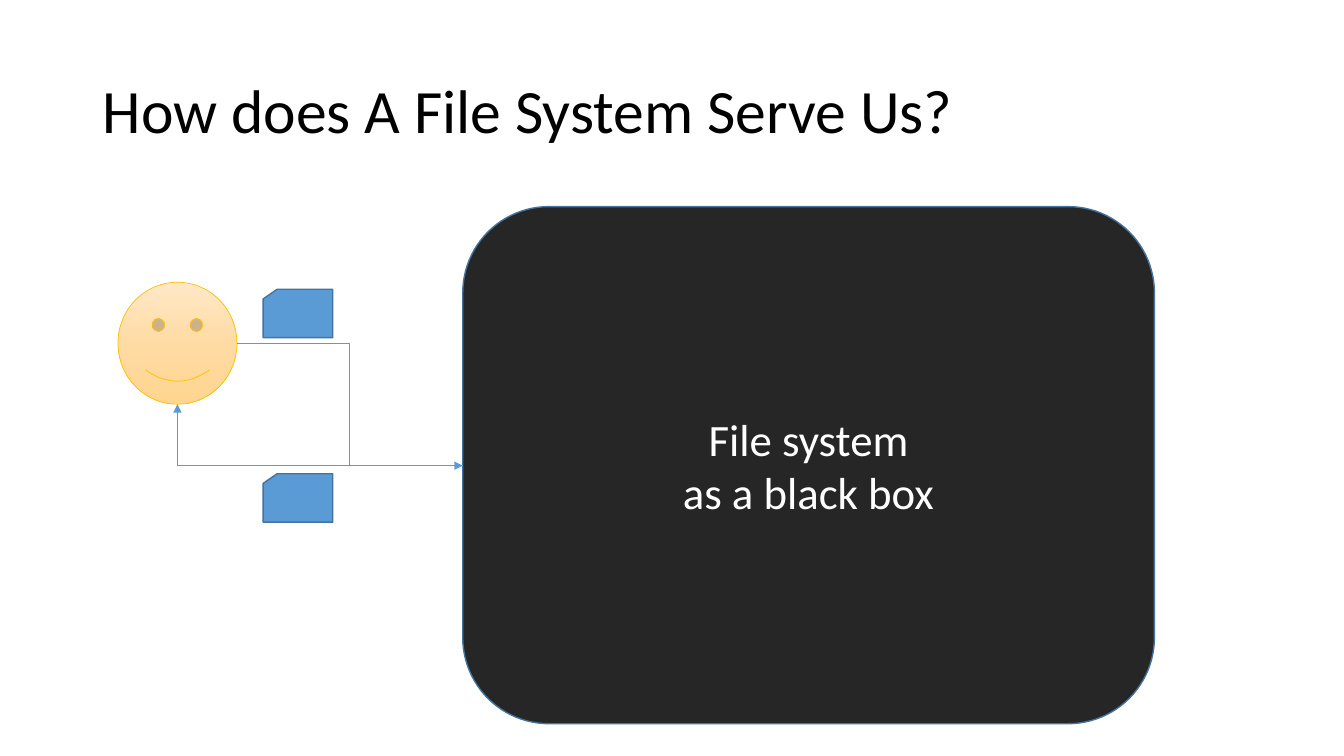
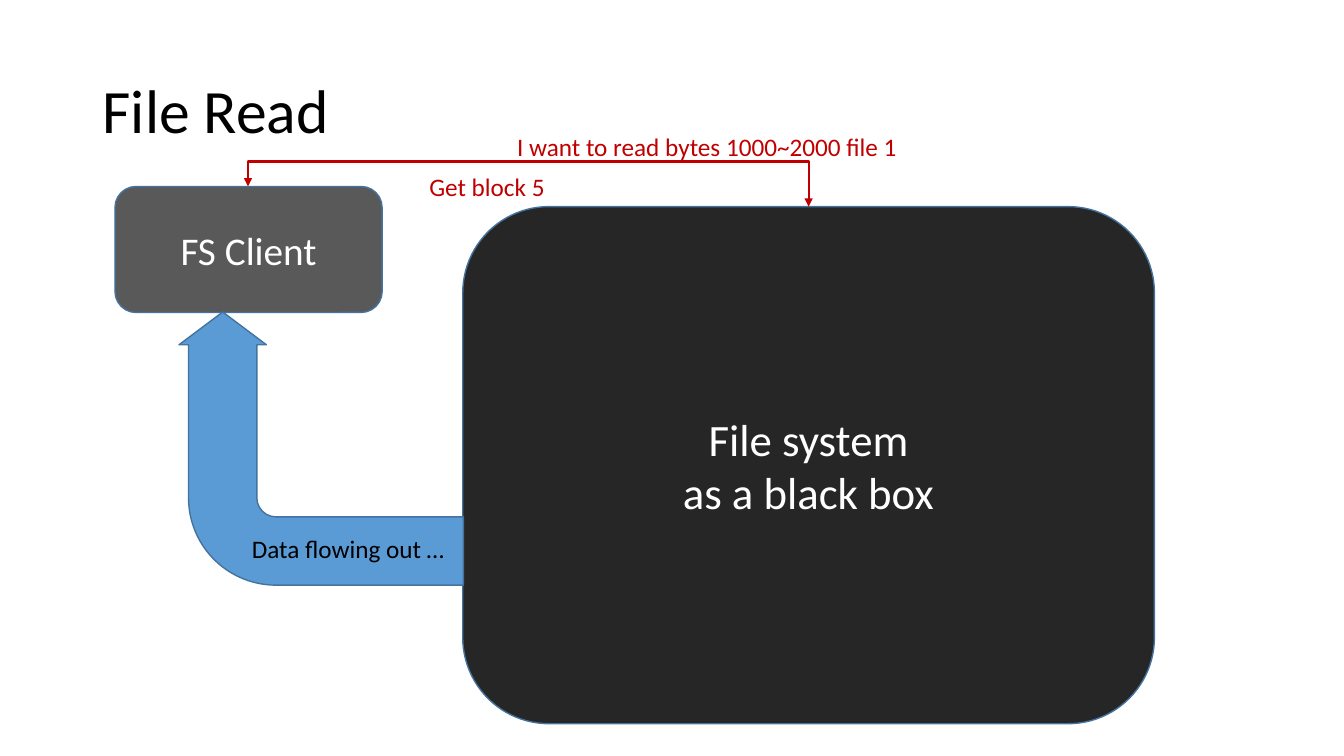
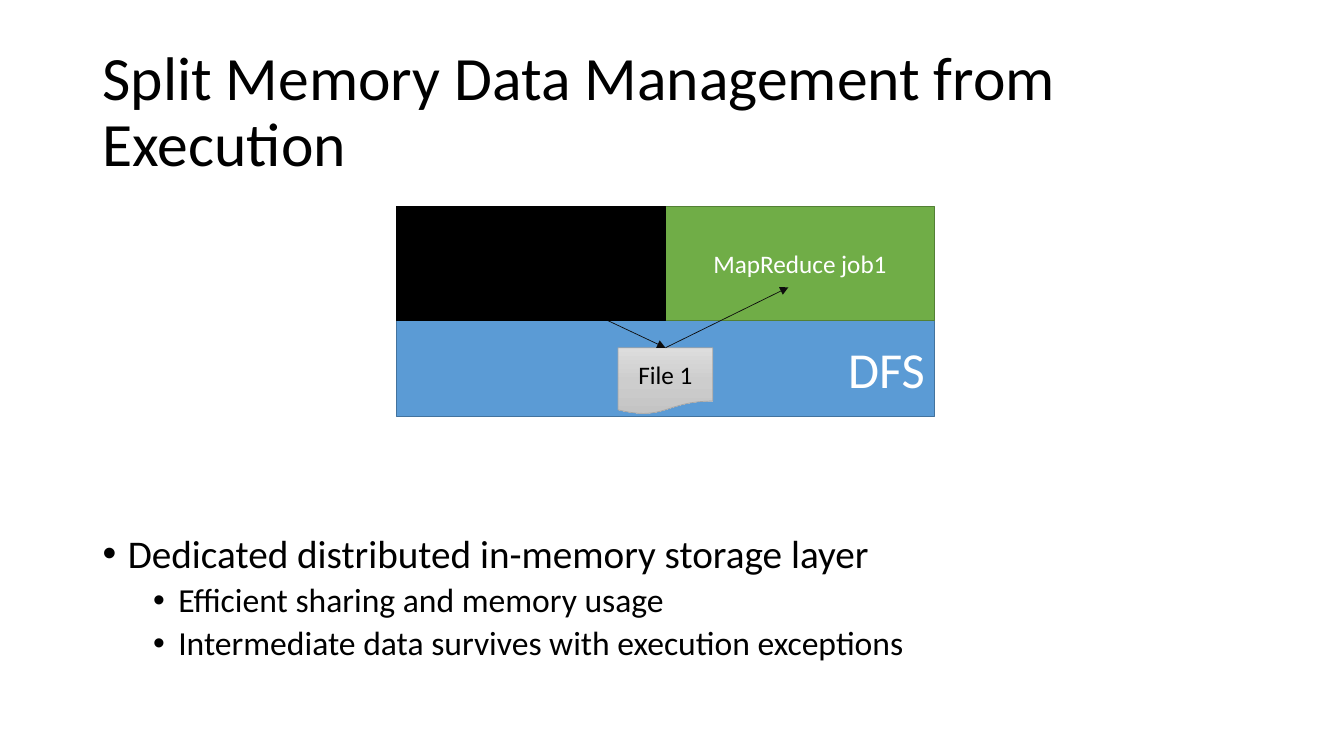
import copy

import pptx
import pptx.dml.color
import pptx.enum.shapes
import pptx.enum.text
import pptx.oxml
import pptx.oxml.ns
import pptx.util

Inches, Pt = pptx.util.Inches, pptx.util.Pt
SHAPES = pptx.enum.shapes.MSO_SHAPE
CONNECTORS = pptx.enum.shapes.MSO_CONNECTOR
ALIGN = pptx.enum.text.PP_ALIGN
ANCHOR = pptx.enum.text.MSO_ANCHOR

FONT = "Calibri"
WHITE, BLACK, RED = "FFFFFF", "000000", "C00000"
BLUE, BLUE_EDGE = "5B9BD5", "43739E"
GREEN, GREEN_EDGE = "70AD47", "538035"
DARK, GRAY, INK = "262626", "595959", "0D0D0D"
PEACH, PEACH_EDGE = ("FFE8C7", "FFDBA4", "FFD58F"), "FFC000"
SILVER, SILVER_EDGE = ("DDDDDD", "CDCDCD", "C4C4C4"), "A5A5A5"

TITLES = ("How does A File System Serve Us?", "File Read",
          "Split Memory Data Management from Execution")
TITLE_FRAME = (0.92, 0.4, 11.5, 1.45)
BLACK_BOX = "File system\nas a black box"
BLACK_BOX_FRAME = (4.59, 2.05, 6.86, 5.13)

CARD_TOPS = (2.87, 4.7)

READ_LABELS = (("I want to read bytes 1000~2000 file 1", (5.03, 1.25, 4.01, 0.4), RED),
               ("Get block 5", (4.16, 1.65, 1.36, 0.4), RED))
FLOW_LABEL = ("Data flowing out …", (2.4, 5.24, 2.13, 0.4), BLACK)

BULLETS = ((0, "Dedicated distributed in-memory storage layer"),
           (1, "Efficient sharing and memory usage"),
           (1, "Intermediate data survives with execution exceptions"))
BULLET_LEVELS = ({"size": 28, "indent": 0.25, "before": 10},
                 {"size": 24, "indent": 0.75, "before": 5})
STACK_LEFT, STACK_TOP, STACK_WIDTH = 3.93, 2.05, 5.34
JOB_WIDTH, JOB_HEIGHT, STORE_HEIGHT = STACK_WIDTH / 2, 1.13, 0.95


def rgb(color):
    return pptx.dml.color.RGBColor.from_string(color)


def inches(values):
    return [Inches(value) for value in values]


def write(frame, text, size=18, color=BLACK, align=ALIGN.LEFT, anchor=ANCHOR.TOP,
          spacing=None, wrap=True):
    """Fill a text frame, one paragraph for each line of the text."""
    frame.word_wrap = wrap
    frame.vertical_anchor = anchor
    frame.text = text
    for paragraph in frame.paragraphs:
        paragraph.alignment = align
        paragraph.line_spacing = spacing
        for run in paragraph.runs:
            run.font.name = FONT
            run.font.size = Pt(size)
            run.font.color.rgb = rgb(color)
    return frame


def add_text(slide, text, place, **text_format):
    return write(slide.shapes.add_textbox(*inches(place)).text_frame, text, **text_format)


def add_label(slide, text, place, color):
    frame = add_text(slide, text, place, color=color, wrap=False)
    frame.auto_size = pptx.enum.text.MSO_AUTO_SIZE.SHAPE_TO_FIT_TEXT


def fill_gradient(fill, colors):
    """Run evenly spaced colours from top to bottom."""
    fill.gradient()
    fill.gradient_angle = 270
    first = fill.gradient_stops[0]._gs
    for _ in colors[2:]:
        first.addnext(copy.deepcopy(first))
    for index, (stop, color) in enumerate(zip(fill.gradient_stops, colors)):
        stop.color.rgb = rgb(color)
        stop.position = index / (len(colors) - 1)


def add_shape(slide, kind, place, fill=BLUE, edge=BLUE_EDGE, edge_width=1, text="",
              color=WHITE, align=ALIGN.CENTER, **text_format):
    shape = slide.shapes.add_shape(kind, *inches(place))
    shape.shadow.inherit = False
    if isinstance(fill, tuple):
        fill_gradient(shape.fill, fill)
    else:
        shape.fill.solid()
        shape.fill.fore_color.rgb = rgb(fill)
    shape.line.color.rgb = rgb(edge)
    shape.line.width = Pt(edge_width)
    if text:
        write(shape.text_frame, text, color=color, align=align,
              anchor=ANCHOR.MIDDLE, **text_format)
    return shape


def add_arrow(slide, kind, begin, end, color, width=0.5, heads=("tailEnd",)):
    connector = slide.shapes.add_connector(kind, *inches(begin + end))
    connector.line.color.rgb = rgb(color)
    connector.line.width = Pt(width)
    line = connector.line._get_or_add_ln()
    for head in heads:
        line.append(pptx.oxml.parse_xml(
            f'<a:{head} {pptx.oxml.ns.nsdecls("a")} type="triangle"/>'))
    connector._element.spPr.append(pptx.oxml.parse_xml(
        f'<a:effectLst {pptx.oxml.ns.nsdecls("a")}/>'))
    return connector


def add_bent_arrow(slide, begin, end, place, color, preset="bentConnector3",
                   rotation=0, flip=False, bend=None, **line_format):
    """Join two (shape, site) pairs by an elbow line in the given unrotated frame."""
    connector = add_arrow(slide, CONNECTORS.ELBOW, (0, 0), (1, 1), color, **line_format)
    connector.begin_connect(begin[0], 0)
    connector.end_connect(end[0], 0)
    element = connector._element
    for tag, (_, site) in (("stCxn", begin), ("endCxn", end)):
        element.xpath(f".//a:{tag}")[0].set("idx", str(site))
    connector.left, connector.top, connector.width, connector.height = inches(place)
    transform = element.xpath("./p:spPr/a:xfrm")[0]
    transform.set("rot", str(rotation * 60000))
    transform.set("flipH", str(int(flip)))
    transform.set("flipV", "0")
    geometry = element.xpath("./p:spPr/a:prstGeom")[0]
    geometry.set("prst", preset)
    if bend is not None:
        geometry.get_or_add_avLst().append(pptx.oxml.parse_xml(
            f'<a:gd {pptx.oxml.ns.nsdecls("a")} name="adj1" '
            f'fmla="val {round(bend * 100000)}"/>'))


def add_bullets(slide, place):
    frame = add_text(slide, "\n".join(text for _, text in BULLETS), place, spacing=0.9)
    for paragraph, (level, _) in zip(frame.paragraphs, BULLETS):
        style = BULLET_LEVELS[level]
        paragraph.level = level
        paragraph.space_before = Pt(style["before"])
        paragraph.runs[0].font.size = Pt(style["size"])
        properties = paragraph._p.get_or_add_pPr()
        properties.set("marL", str(Inches(style["indent"])))
        properties.set("indent", str(-Inches(0.25)))
        for tag in ('buFont typeface="Arial"', 'buChar char="•"'):
            properties.append(pptx.oxml.parse_xml(
                f'<a:{tag} {pptx.oxml.ns.nsdecls("a")}/>'))


def add_black_box(slide):
    return add_shape(slide, SHAPES.ROUNDED_RECTANGLE, BLACK_BOX_FRAME, fill=DARK,
                     text=BLACK_BOX, size=32)


def build_service(slide):
    box = add_black_box(slide)
    user = add_shape(slide, SHAPES.SMILEY_FACE, (1.17, 2.8, 1.18, 1.21),
                     fill=PEACH, edge=PEACH_EDGE, edge_width=0.5)
    user_bottom, user_right, box_left = (user, 4), (user, 6), (box, 1)
    add_bent_arrow(slide, user_right, box_left, (2.35, 3.41, 2.24, 1.21), BLUE)
    add_bent_arrow(slide, box_left, user_bottom, (1.76, 4.01, 2.83, 0.61), BLUE,
                   preset="bentConnector2", rotation=180)
    for top in CARD_TOPS:
        add_shape(slide, SHAPES.FLOWCHART_CARD, (2.61, top, 0.69, 0.48))


def build_read(slide):
    box = add_black_box(slide)
    client = add_shape(slide, SHAPES.ROUNDED_RECTANGLE, (1.14, 1.85, 2.65, 1.25),
                       fill=GRAY, text="FS Client", size=28)
    add_bent_arrow(slide, (client, 0), (box, 0), (5.14, -0.83, 0.2, 5.56), RED,
                   rotation=270, flip=True, bend=-1.24, width=1.5,
                   heads=("headEnd", "tailEnd"))
    for label in READ_LABELS:
        add_label(slide, *label)
    flow = add_shape(slide, SHAPES.BENT_ARROW, (1.83, 3.04, 2.71, 2.82))
    flow.rotation = 270
    for index, value in enumerate((0.25, 0.16, 0.12, 0.32)):
        flow.adjustments[index] = value
    add_label(slide, *FLOW_LABEL)


def build_split(slide):
    add_bullets(slide, (0.92, 5.25, 11.5, 1.5))
    store_top = STACK_TOP + JOB_HEIGHT
    add_shape(slide, SHAPES.RECTANGLE, (STACK_LEFT, store_top, STACK_WIDTH, STORE_HEIGHT),
              text="DFS", size=36, align=ALIGN.RIGHT)
    add_shape(slide, SHAPES.RECTANGLE,
              (STACK_LEFT + JOB_WIDTH, STACK_TOP, JOB_WIDTH, JOB_HEIGHT),
              fill=GREEN, edge=GREEN_EDGE, text="MapReduce job1")
    document = add_shape(slide, SHAPES.FLOWCHART_DOCUMENT, (6.13, 3.45, 0.94, 0.66),
                         fill=SILVER, edge=SILVER_EDGE, edge_width=0.5,
                         text="File 1", color=BLACK)
    document_top = (6.6, 3.45)
    written = add_arrow(slide, CONNECTORS.STRAIGHT, (5.73, 3.04), document_top, INK)
    written.end_connect(document, 0)
    read = add_arrow(slide, CONNECTORS.STRAIGHT, document_top, (7.82, 2.85), INK)
    read.begin_connect(document, 0)
    add_shape(slide, SHAPES.RECTANGLE, (STACK_LEFT, STACK_TOP, JOB_WIDTH, JOB_HEIGHT),
              fill=BLACK, edge=BLACK)


def main():
    presentation = pptx.Presentation()
    presentation.slide_width, presentation.slide_height = inches((13.33, 7.5))
    for title, build in zip(TITLES, (build_service, build_read, build_split)):
        slide = presentation.slides.add_slide(presentation.slide_layouts[6])
        add_text(slide, title, TITLE_FRAME, size=44, anchor=ANCHOR.MIDDLE, spacing=0.9)
        build(slide)
    presentation.save("out.pptx")


if __name__ == "__main__":
    main()
